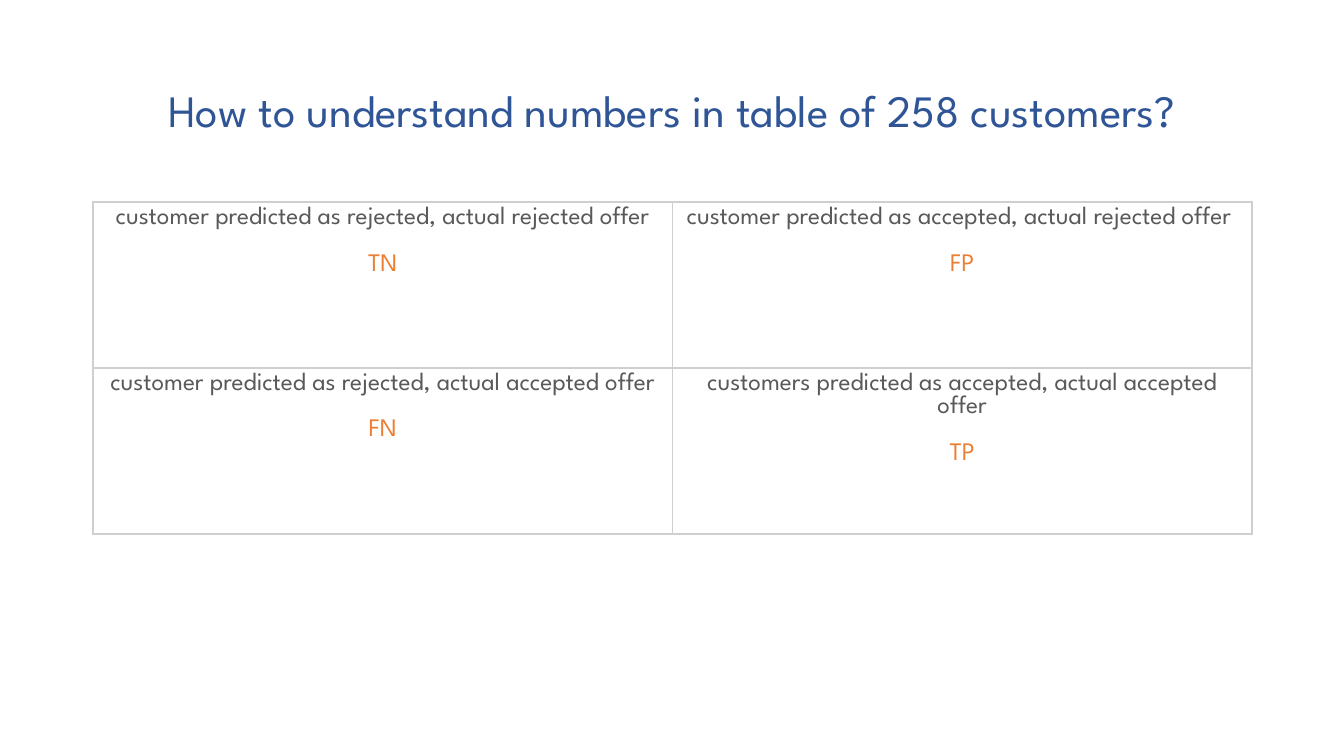
"""Build a slide that explains the four cells of a confusion matrix."""
from lxml.etree import SubElement as Sub
from pptx import Presentation
from pptx.dml.color import RGBColor as Rgb
from pptx.enum.text import MSO_ANCHOR as Anchor, PP_ALIGN as Align
from pptx.oxml.ns import qn
from pptx.util import Pt

TITLE = "How to understand numbers in table of 258 customers?"
GRID = [
    [("customer predicted as rejected, actual rejected offer", "TN"),
     ("customer predicted as accepted, actual rejected offer ", "FP")],
    [("customer predicted as rejected, actual accepted offer", "FN"),
     ("customers predicted as accepted, actual accepted offer", "TP")],
]
THEME = {
    "font": "League Spartan", "head": "2F5597", "body": "595959",
    "mark": "ED7D31", "line": "D0CECE", "big": 32, "text": 18, "gap": 16.5,
}
PX = 914400 / 100.8
LEFT, WIDE = 93, 1159
HEAD_TOP, HEAD_TALL = 40, 146
GRID_TOP, ROW_TALL = 202, 166


def emu(px):
    return round(px * PX)


def write(para, text, size=THEME["text"], color=THEME["body"], gap=0, lead=None):
    para.alignment = Align.CENTER
    para.space_before = Pt(gap)
    if lead:
        para.line_spacing = lead
    run = para.add_run()
    run.text = text
    run.font.name = THEME["font"]
    run.font.size = Pt(size)
    run.font.color.rgb = Rgb.from_string(color)


def edge(cell):
    prop = cell._tc.get_or_add_tcPr()
    for side in "LRTB":
        line = Sub(prop, qn(f"a:ln{side}"), w=str(Pt(1)))
        fill = Sub(line, qn("a:solidFill"))
        Sub(fill, qn("a:srgbClr"), val=THEME["line"])


deck = Presentation()
deck.slide_width, deck.slide_height = emu(1344), emu(756)
slide = deck.slides.add_slide(deck.slide_layouts[6])

head = slide.shapes.add_textbox(emu(LEFT), emu(HEAD_TOP), emu(WIDE), emu(HEAD_TALL))
frame = head.text_frame
frame.word_wrap = True
frame.vertical_anchor = Anchor.MIDDLE
write(frame.paragraphs[0], TITLE, size=THEME["big"], color=THEME["head"], lead=0.9)

rows, cols = len(GRID), len(GRID[0])
table = slide.shapes.add_table(
    rows, cols, emu(LEFT), emu(GRID_TOP), emu(WIDE), emu(ROW_TALL * rows)).table
table.first_row = table.horz_banding = False
for r, line in enumerate(GRID):
    for c, (text, mark) in enumerate(line):
        cell = table.cell(r, c)
        edge(cell)
        cell.fill.background()
        body = cell.text_frame
        write(body.paragraphs[0], text)
        write(body.add_paragraph(), mark, color=THEME["mark"], gap=THEME["gap"])

deck.save("out.pptx")
